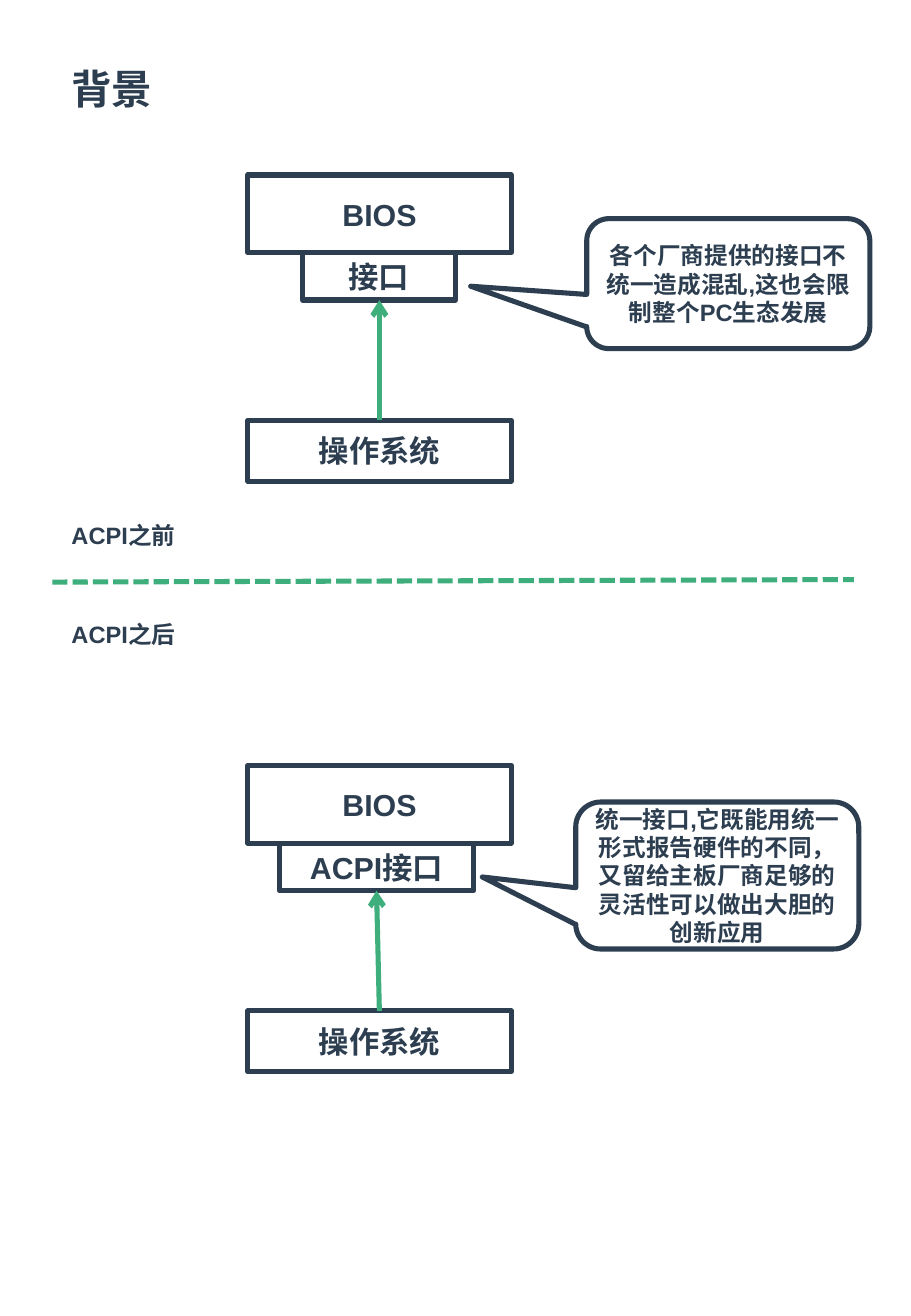
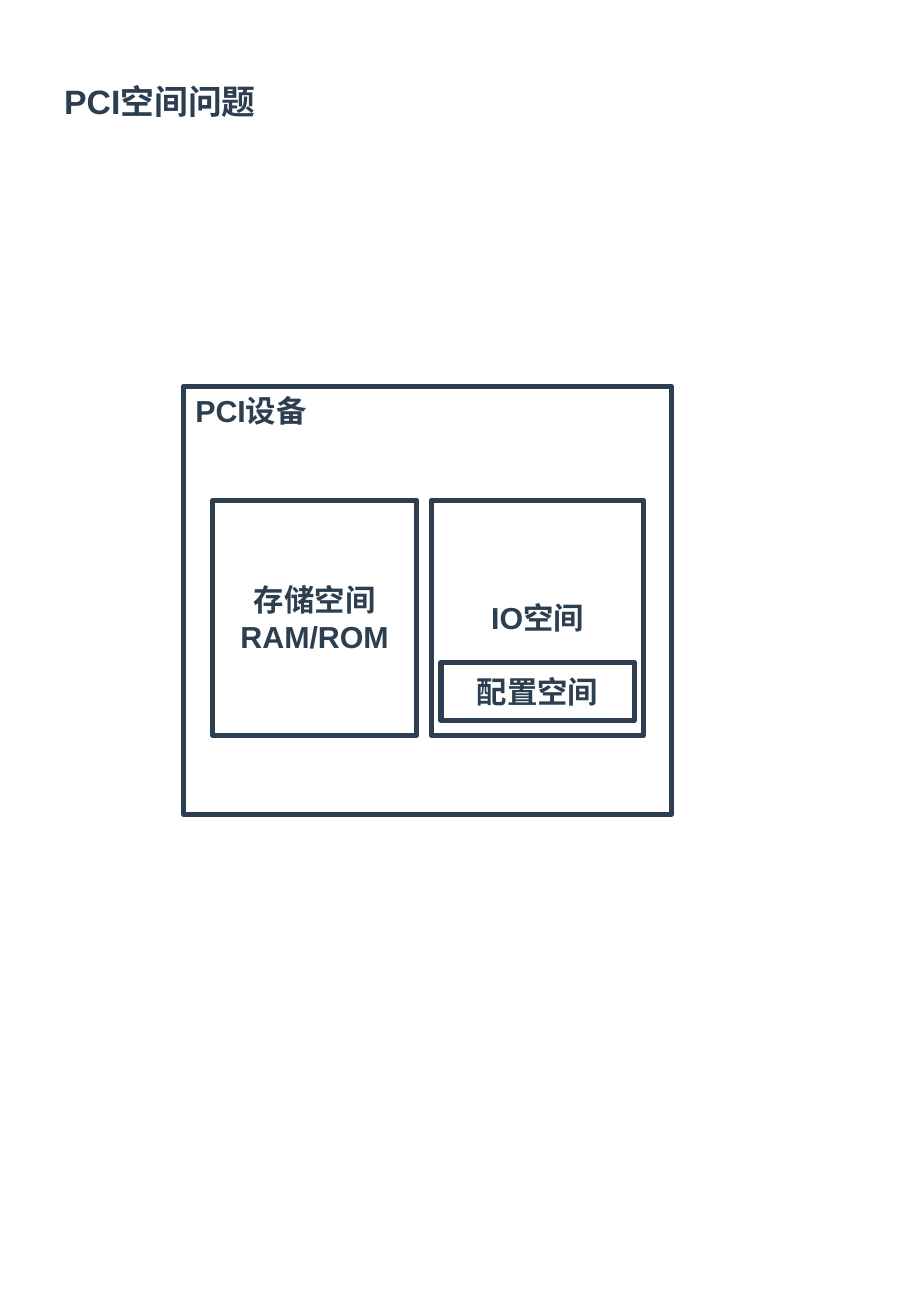
import pptx
import pptx.dml.color
import pptx.enum.dml
import pptx.enum.shapes
import pptx.enum.text
import pptx.oxml.ns
import pptx.util
from lxml import etree

Pt = pptx.util.Pt
SHAPE = pptx.enum.shapes.MSO_SHAPE
ALIGN = pptx.enum.text.PP_ALIGN
ANCHOR = pptx.enum.text.MSO_ANCHOR
qn = pptx.oxml.ns.qn

# Shared style
NAVY = pptx.dml.color.RGBColor(0x2C, 0x3E, 0x50)
GREEN = pptx.dml.color.RGBColor(0x3E, 0xAF, 0x7C)
FONT = "Arial"
LINE_WIDTH = Pt(3)


def add_text(slide, text, left, top, width, height, *, outline=None, size=18,
             align=ALIGN.CENTER, anchor=ANCHOR.MIDDLE, adjustments=()):
    """Add text in an outlined shape, or in a plain text box without outline."""
    frame = [Pt(length) for length in (left, top, width, height)]
    if outline is None:
        holder = slide.shapes.add_textbox(*frame)
        holder.text_frame.auto_size = pptx.enum.text.MSO_AUTO_SIZE.SHAPE_TO_FIT_TEXT
        align, anchor = ALIGN.LEFT, ANCHOR.TOP
    else:
        holder = slide.shapes.add_shape(outline, *frame)
        holder.shadow.inherit = False
        holder.fill.background()
        holder.line.color.rgb = NAVY
        holder.line.width = LINE_WIDTH
        for index, value in enumerate(adjustments):
            holder.adjustments[index] = value
    holder.text_frame.word_wrap = True
    holder.text_frame.vertical_anchor = anchor
    holder.text_frame.text = text
    for paragraph in holder.text_frame.paragraphs:
        paragraph.alignment = align
        font = paragraph.runs[0].font
        font.name, font.size, font.bold = FONT, Pt(size), True
        font.color.rgb = NAVY


def add_line(slide, x1, y1, x2, y2, *, arrow=False, dash=None):
    line = slide.shapes.add_connector(
        pptx.enum.shapes.MSO_CONNECTOR.STRAIGHT, Pt(x1), Pt(y1), Pt(x2), Pt(y2))
    line.line.color.rgb = GREEN
    line.line.width = LINE_WIDTH
    if dash is not None:
        line.line.dash_style = dash
    if arrow:
        etree.SubElement(line.line._get_or_add_ln(), qn("a:tailEnd"), type="arrow")
    etree.SubElement(line._element.spPr, qn("a:effectLst"))


deck = pptx.Presentation()
deck.slide_width, deck.slide_height = Pt(540), Pt(779.76)
blank = deck.slide_layouts[6]

# Slide 1: interfaces before and after ACPI
background = deck.slides.add_slide(blank)
add_text(background, "背景", 35.3, 34.6, 63, 36, size=24)
for period, top in (("ACPI之前", 305.3), ("ACPI之后", 363.6)):
    add_text(background, period, 35.3, top, 78, 24.5, size=14)

# Each stage: top, interface (text, left, width), arrow tip, callout
stages = (
    (103.7, ("接口", 179.3, 90.7), 224.9,
     "各个厂商提供的接口不统一造成混乱,这也会限制整个PC生态发展",
     (347.8, 129.6, 167.8, 77), (-0.91, 0.02, 0.17)),
    (453.6, ("ACPI接口", 165.6, 115.2), 223.2,
     "统一接口,它既能用统一形式报告硬件的不同，又留给主板厂商足够的灵活性可以做出大胆的创新应用",
     (341.3, 475.2, 167.8, 87.1), (-0.83, 0.01, 0.17)),
)
for top, (interface, left, width), tip_x, remark, remark_frame, pointer in stages:
    add_text(background, "BIOS", 146.9, top, 156.2, 46, outline=SHAPE.RECTANGLE)
    add_text(background, interface, left, top + 46, width, 28.1, outline=SHAPE.RECTANGLE)
    add_text(background, "操作系统", 146.9, top + 145.4, 156.2, 36, outline=SHAPE.RECTANGLE)
    add_line(background, 224.9, top + 145.4, tip_x, top + 74.1, arrow=True)
    add_text(background, remark, *remark_frame, size=14,
             outline=SHAPE.ROUNDED_RECTANGULAR_CALLOUT, adjustments=pointer)

# Divider between the two periods
add_line(background, 31, 344.9, 506.2, 343.4,
         dash=pptx.enum.dml.MSO_LINE.SQUARE_DOT)

# Slide 2: address spaces of a PCI device
spaces = deck.slides.add_slide(blank)
add_text(spaces, "PCI设备", 108.7, 229, 289.4, 253.4, outline=SHAPE.RECTANGLE,
         align=ALIGN.LEFT, anchor=ANCHOR.TOP)
add_text(spaces, "PCI空间问题", 31, 44.6, 130, 31.7, size=20)
for space, left, top, width, height in (
        ("存储空间\nRAM/ROM", 126, 296.6, 121, 139),
        ("配置空间", 261.4, 392.4, 114.5, 34.6),
        ("IO空间", 255.6, 296.6, 126, 139)):
    add_text(spaces, space, left, top, width, height, outline=SHAPE.RECTANGLE)

deck.save("out.pptx")
